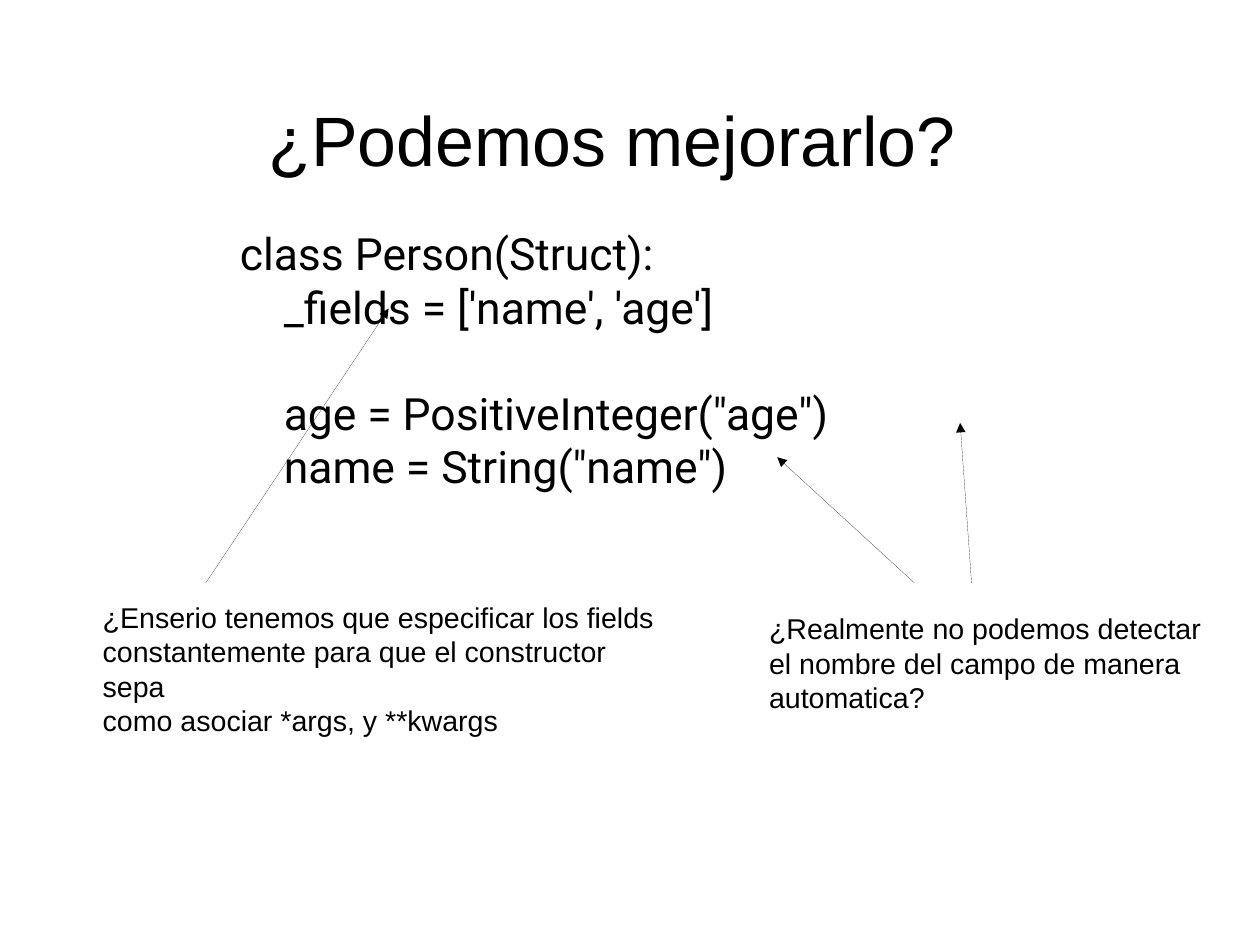
from pptx import Presentation
from pptx.dml.color import RGBColor
from pptx.enum.shapes import MSO_CONNECTOR as Connector
from pptx.enum.text import MSO_ANCHOR as Anchor, MSO_AUTO_SIZE as AutoSize
from pptx.enum.text import PP_ALIGN as Align
from pptx.oxml.ns import qn
from pptx.util import Cm, Inches, Pt
from lxml.etree import SubElement

CELL = 0.1  # grid step in inches


def grid(cells):
    return Inches(cells * CELL)


def color(value):
    return RGBColor.from_string(value)


class SlideWriter:
    """Holds the text style and the page; positions are in grid cells."""

    def __init__(self, page, ink="000000", font="Arial"):
        self.page = page
        self.ink = ink
        self.font = font

    def text(self, place, lines, size, font=None, wrap=True,
             margins=(1, 0.5), align=Align.LEFT, anchor=Anchor.TOP, gaps=None):
        """Write one paragraph per line; gaps maps a line index to space before."""
        box = self.page.shapes.add_textbox(*map(grid, place))
        frame = box.text_frame
        frame.word_wrap = wrap
        frame.auto_size = AutoSize.NONE if wrap else AutoSize.SHAPE_TO_FIT_TEXT
        frame.vertical_anchor = anchor
        frame.margin_left = frame.margin_right = grid(margins[0])
        frame.margin_top = frame.margin_bottom = grid(margins[1])
        for index, line in enumerate(lines):
            para = frame.paragraphs[0] if index == 0 else frame.add_paragraph()
            para.alignment = align
            if gaps and index in gaps:
                para.space_before = Pt(gaps[index])
            span = para.add_run()
            span.text = line
            span.font.size = Pt(size)
            span.font.name = font or self.font
            span.font.color.rgb = color(self.ink)

    def note(self, place, lines):
        self.text(place, lines, 18, wrap=False)

    def arrow(self, start, end):
        """Draw a hairline with a triangle at its end."""
        connector = self.page.shapes.add_connector(
            Connector.STRAIGHT, *map(grid, start + end))
        connector.line.color.rgb = color(self.ink)
        connector.line.width = Pt(0.01)
        properties = connector.element.spPr
        SubElement(properties.find(qn("a:ln")), qn("a:tailEnd"), type="triangle")
        SubElement(properties, qn("a:effectLst"))


def main():
    deck = Presentation()
    deck.slide_width, deck.slide_height = Cm(28), Cm(21)
    writer = SlideWriter(deck.slides.add_slide(deck.slide_layouts[6]))

    writer.text((4, 5.2, 99.2, 13.8), ["¿Podemos mejorarlo?"], 44,
                margins=(0, 0), align=Align.CENTER, anchor=Anchor.MIDDLE)
    code = [
        "class Person(Struct):",
        "    _fields = ['name', 'age']",
        '    age = PositiveInteger("age")',
        '    name = String("name")',
    ]
    writer.text((20, 19.3, 71, 28.1), code, 28, font="Roboto", gaps={2: 33.5})

    writer.arrow((18, 51), (34, 27))
    writer.note((8, 52, 52.1, 9.4), [
        "¿Enserio tenemos que especificar los fields",
        "constantemente para que el constructor sepa",
        "como asociar *args, y **kwargs",
    ])

    for start, end in [((80, 51), (68, 40)), ((85, 51), (84, 37))]:
        writer.arrow(start, end)
    writer.note((66.3, 53, 39.8, 9.4), [
        "¿Realmente no podemos detectar",
        "el nombre del campo de manera",
        "automatica?",
    ])

    deck.save("out.pptx")


if __name__ == "__main__":
    main()
